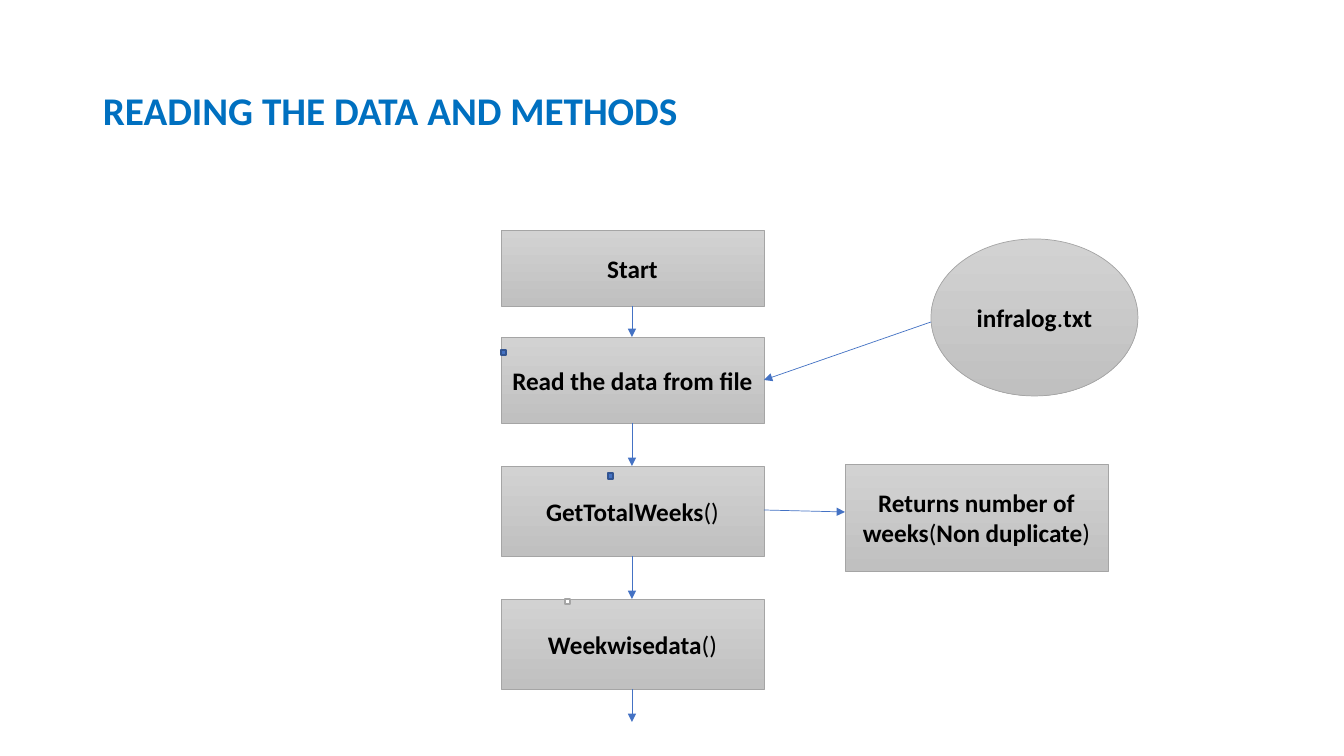
from lxml import etree
from pptx import Presentation
from pptx.dml.color import RGBColor
from pptx.enum.shapes import MSO_CONNECTOR, MSO_SHAPE
from pptx.enum.text import MSO_ANCHOR, PP_ALIGN
from pptx.oxml.ns import qn
from pptx.util import Pt

RECT, OVAL = MSO_SHAPE.RECTANGLE, MSO_SHAPE.OVAL
LINE = MSO_CONNECTOR.STRAIGHT
MIDDLE = MSO_ANCHOR.MIDDLE
LEFT, CENTER = PP_ALIGN.LEFT, PP_ALIGN.CENTER
WIDE, HIGH = 1344, 756
SCALE = 12192000 / WIDE
COLORS = {
    "title": "0070C0", "text": "000000", "light": "D2D2D2", "dark": "C0C0C0",
    "edge": "A5A5A5", "arrow": "4472C4", "navy": "325491", "white": "FFFFFF",
}
TITLE = {"size": Pt(28), "name": "Calibri", "bold": True}
LABEL = {"size": Pt(18), "name": "Calibri", "bold": True}
STEP_X, STEP_W = 501, 263
STEPS = [
    (230, 76, ["Start"]),
    (337, 86, ["Read the data from file"]),
    (466, 90, ["GetTotalWeeks", "()"]),
    (599, 90, ["Weekwisedata", "()"]),
]
END_Y = 722
MARKS = [
    (565, 599, 5, 5, "white", "edge"),
    (501, 350, 5, 5, "arrow", "navy"),
    (608, 473, 5, 6, "arrow", "navy"),
]


def px(*nums):
    return [round(n * SCALE) for n in nums]


def rgb(key):
    return RGBColor.from_string(COLORS[key])


def style(line, color, width):
    line.color.rgb = rgb(color)
    line.width = Pt(width)


def write(shape, parts, form, color, align):
    frame = shape.text_frame
    frame.word_wrap = True
    frame.vertical_anchor = MIDDLE
    para = frame.paragraphs[0]
    para.alignment = align
    for i, part in enumerate(parts):
        run = para.add_run()
        run.text = part
        for key, value in form.items():
            setattr(run.font, key, value)
        run.font.bold = i % 2 == 0
        run.font.color.rgb = rgb(color)


def add_title(slide, box, text):
    shape = slide.shapes.add_textbox(*px(*box))
    write(shape, [text], TITLE, "title", LEFT)
    shape.text_frame.paragraphs[0].line_spacing = 0.9


def add_node(slide, kind, box, parts):
    node = slide.shapes.add_shape(kind, *px(*box))
    node.shadow.inherit = False
    node.fill.gradient()
    node.fill.gradient_angle = 270
    for stop, key in zip(node.fill.gradient_stops, ("light", "dark")):
        stop.color.rgb = rgb(key)
    style(node.line, "edge", 0.5)
    write(node, parts, LABEL, "text", CENTER)


def add_mark(slide, box, fill, edge):
    mark = slide.shapes.add_shape(RECT, *px(*box))
    mark.shadow.inherit = False
    mark.fill.solid()
    mark.fill.fore_color.rgb = rgb(fill)
    style(mark.line, edge, 1)


def add_arrow(slide, *ends):
    arrow = slide.shapes.add_connector(LINE, *px(*ends))
    style(arrow.line, "arrow", 0.5)
    props = arrow.element.spPr
    etree.SubElement(props.find(qn("a:ln")), qn("a:tailEnd"), type="triangle")
    etree.SubElement(props, qn("a:effectLst"))


def main():
    deck = Presentation()
    deck.slide_width, deck.slide_height = px(WIDE, HIGH)
    slide = deck.slides.add_slide(deck.slide_layouts[6])
    add_title(slide, (93, 40, 1159, 146), "READING THE DATA AND METHODS")
    for top, high, parts in STEPS:
        add_node(slide, RECT, (STEP_X, top, STEP_W, high), parts)
    add_node(slide, RECT, (845, 464, STEP_W, 107),
             ["Returns number of weeks", "(", "Non duplicate", ")"])
    add_node(slide, OVAL, (931, 239, 207, 157), ["infralog", ".", "txt"])
    mid, right = STEP_X + STEP_W // 2, STEP_X + STEP_W
    tops = [step[0] for step in STEPS[1:]] + [END_Y]
    for (top, high, _), end in zip(STEPS, tops):
        add_arrow(slide, mid, top + high, mid, end)
    add_arrow(slide, 931, 322, right, 380)
    add_arrow(slide, right, 510, 845, 512)
    for *box, fill, edge in MARKS:
        add_mark(slide, box, fill, edge)
    deck.save("out.pptx")


main()
